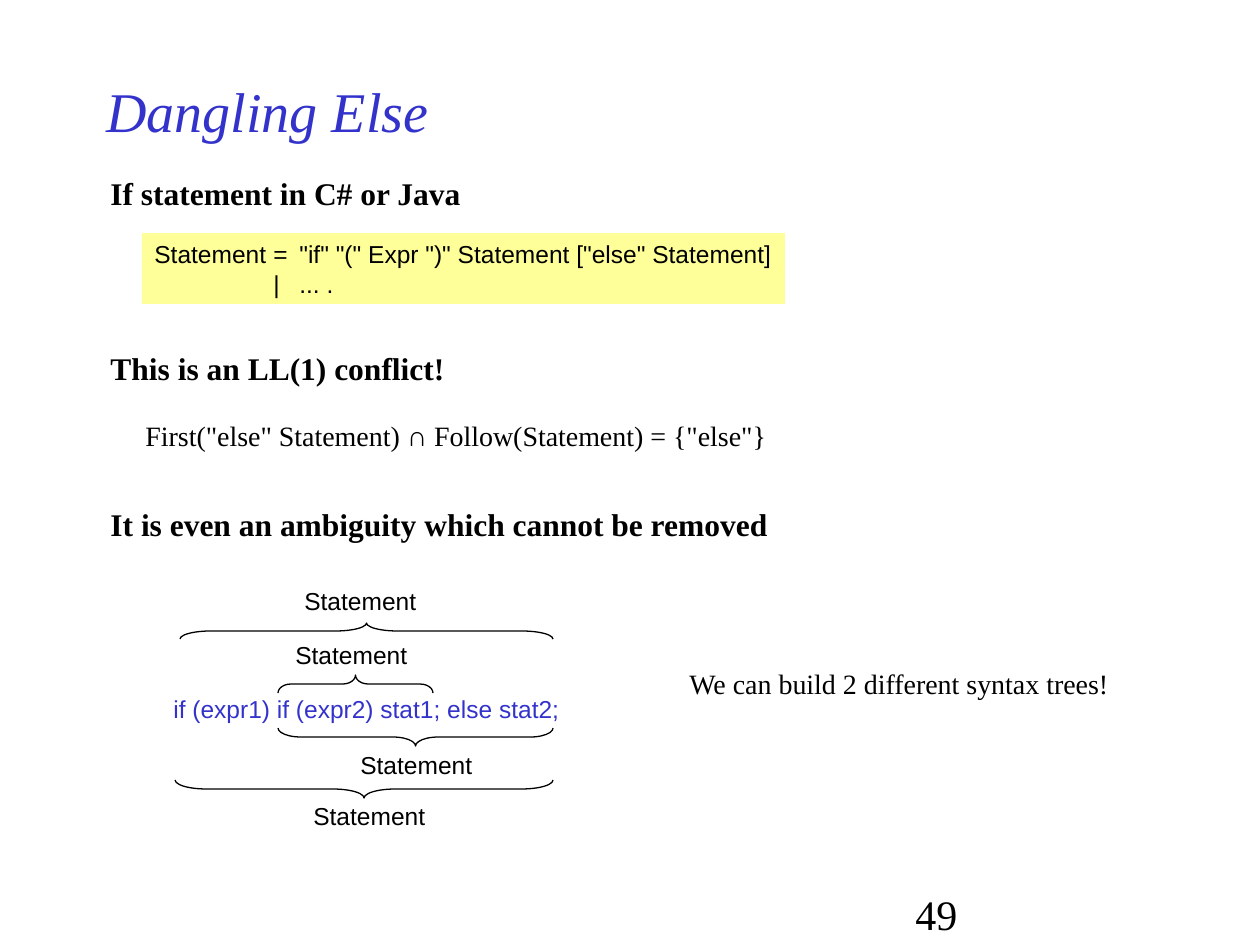
from lxml import etree
from pptx import Presentation, util as u
from pptx.dml.color import RGBColor
from pptx.enum import shapes, text
from pptx.oxml.ns import qn

PX = 914400 / 126
SERIF, SANS = "Times New Roman", "Arial"
BLACK, BLUE, YELLOW = "000000", "3333CC", "FFFF99"


def color(hex_value):
    return RGBColor.from_string(hex_value)


def add_text(left, top, width, height, lines, style, wrap=False, tabs=(),
             anchor=text.MSO_ANCHOR.TOP):
    """Each line is a list of (words, font name) spans; tabs are px stops."""
    box = page.shapes.add_textbox(*[round(v * PX) for v in (left, top, width, height)])
    frame = box.text_frame
    frame.word_wrap = wrap
    frame.vertical_anchor = anchor
    if not wrap:
        frame.auto_size = text.MSO_AUTO_SIZE.SHAPE_TO_FIT_TEXT
    for index, line in enumerate(lines):
        para = frame.paragraphs[0] if index == 0 else frame.add_paragraph()
        if tabs:
            tab_list = etree.SubElement(para._p.get_or_add_pPr(), qn("a:tabLst"))
            for stop in tabs:
                etree.SubElement(tab_list, qn("a:tab"), pos=str(round(stop * PX)), algn="l")
        for words, font_name in line:
            span = para.add_run()
            span.text = words
            span.font.name = font_name
            span.font.color.rgb = color(style.get("color", BLACK))
            for key in ("size", "bold", "italic"):
                if key in style:
                    setattr(span.font, key, style[key])
    return box


deck = Presentation()
deck.slide_width, deck.slide_height = round(1260 * PX), round(945 * PX)
page = deck.slides.add_slide(deck.slide_layouts[6])

title = {"size": u.Pt(32), "italic": True, "color": BLUE}
heading = {"size": u.Pt(18), "bold": True}
body = {"size": u.Pt(16)}
label = {"size": u.Pt(14)}
code = {"size": u.Pt(14), "color": BLUE}
number = {"size": u.Pt(24)}

add_text(94, 63, 945, 94, [[("Dangling Else", SERIF)]], title,
         wrap=True, anchor=text.MSO_ANCHOR.MIDDLE)

for top, width, words in [
    (168, 377, "If statement in C# or Java"),
    (343, 362, "This is an LL(1) conflict!"),
    (499, 685, "It is even an ambiguity which cannot be removed"),
]:
    add_text(98, top, width, 50, [[(words, SERIF)]], heading)

grammar = add_text(142, 233, 643, 71, [
    [('Statement\t=\t"if" "(" Expr ")" Statement ["else" Statement]', SANS)],
    [("\t|\t... .", SANS)],
], label, tabs=(119, 145))
grammar.fill.solid()
grammar.fill.fore_color.rgb = color(YELLOW)

add_text(133, 412, 650, 47, [[
    ('First("else" Statement) ', SERIF),
    ("∩", SANS),
    (' Follow(Statement) = {"else"}', SERIF),
]], body)

add_text(161, 688, 414, 43, [[("if (expr1) if (expr2) stat1; else stat2;", SANS)]], code)

for left, top in [(292, 580), (283, 634), (348, 744), (301, 795)]:
    add_text(left, top, 139, 43, [[("Statement", SANS)]], label)

# Braces lie on their side: a right brace turned to point up (270) or down (90)
for left, top, length, depth, turn in [
    (180, 623, 373, 16, 270),
    (278, 675, 155, 18, 270),
    (278, 728, 275, 18, 90),
    (175, 780, 378, 18, 90),
]:
    upright = (left + (length - depth) / 2, top + (depth - length) / 2, depth, length)
    brace = page.shapes.add_shape(shapes.MSO_SHAPE.RIGHT_BRACE,
                                  *[round(v * PX) for v in upright])
    brace.rotation = turn
    brace.adjustments[0] = length / 12 / depth
    brace.shadow.inherit = False
    brace.fill.background()
    brace.line.color.rgb = color(BLACK)
    brace.line.width = u.Pt(0.75)

add_text(677, 660, 449, 47, [[("We can build 2 different syntax trees!", SERIF)]], body)
add_text(903, 882, 262, 42, [[("49", SERIF)]], number, wrap=True)

deck.save("out.pptx")
